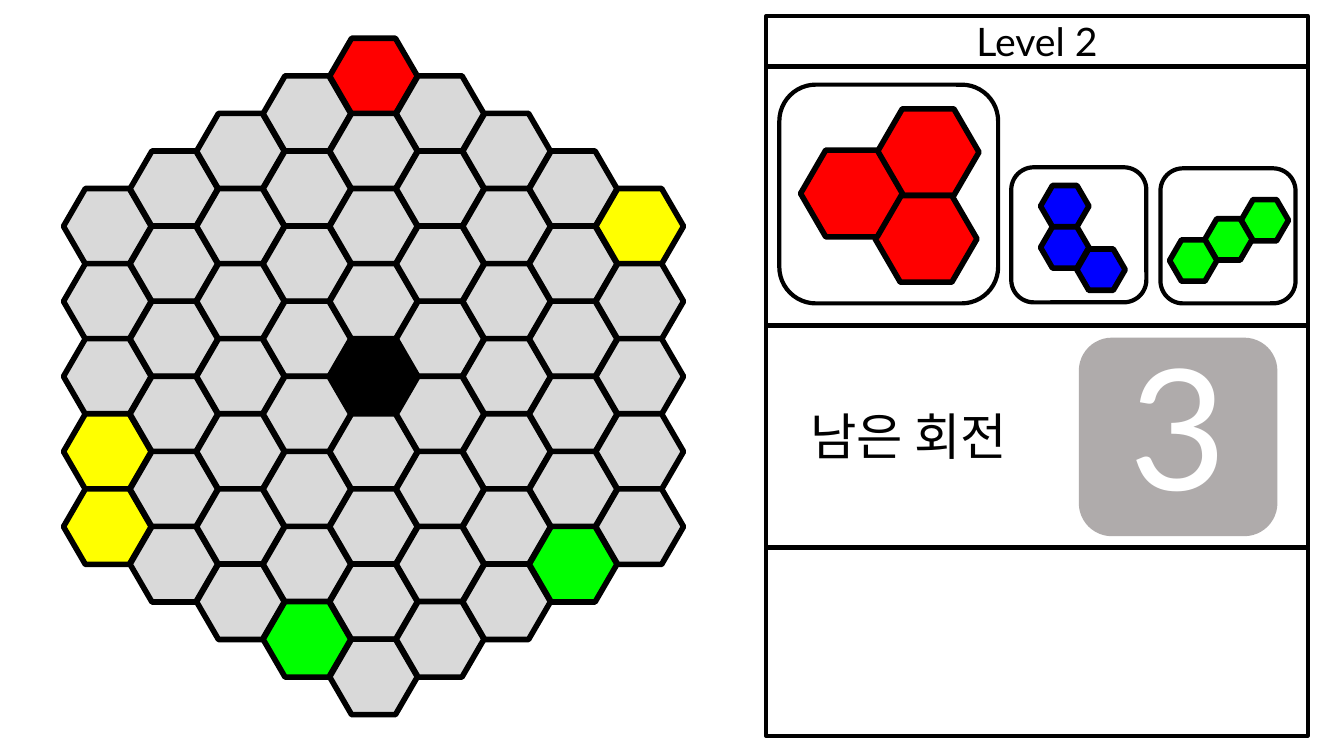
"""Build a hexagon puzzle slide with a board, its pieces and the turns left."""
from lxml import etree
from pptx import Presentation
from pptx.dml.color import RGBColor
from pptx.enum.shapes import MSO_SHAPE
from pptx.enum.text import MSO_ANCHOR, MSO_AUTO_SIZE, PP_ALIGN
from pptx.oxml.ns import qn
from pptx.util import Inches, Pt

HEX, RECT, ROUND = MSO_SHAPE.HEXAGON, MSO_SHAPE.RECTANGLE, MSO_SHAPE.ROUNDED_RECTANGLE
LEFT, CENTER = PP_ALIGN.LEFT, PP_ALIGN.CENTER
MIDDLE = MSO_ANCHOR.MIDDLE
FIXED, GROW = MSO_AUTO_SIZE.NONE, MSO_AUTO_SIZE.SHAPE_TO_FIT_TEXT
COLORS = {
    "black": "000000", "white": "FFFFFF", "cell": "D9D9D9", "badge": "AFABAB",
    "red": "FF0000", "yellow": "FFFF00", "green": "00FF00", "blue": "0000FF",
}
INK = {name: RGBColor.from_string(code) for name, code in COLORS.items()}


def draw(shapes, kind, box, fill=None, line=None):
    shape = shapes.add_shape(kind, *map(Inches, box))
    shape.shadow.inherit = False
    if kind == HEX:
        shape.adjustments[0] = 0.29
    if fill:
        shape.fill.solid()
        shape.fill.fore_color.rgb = INK[fill]
    else:
        shape.fill.background()
    if line:
        shape.line.color.rgb = INK["black"]
        shape.line.width = Pt(line)
    else:
        shape.line.fill.background()
    return shape


def write(shape, text, size, face, ink, align):
    frame = shape.text_frame
    frame.text = text
    frame.word_wrap = True
    para = frame.paragraphs[0]
    para.alignment = align
    run = para.runs[0]
    run.font.size = Pt(size)
    run.font.name = face
    run.font.color.rgb = INK[ink]
    etree.SubElement(run._r.get_or_add_rPr(), qn("a:ea")).set("typeface", face)
    return frame


deck = Presentation()
deck.slide_width, deck.slide_height = Inches(13.33), Inches(7.5)
slide = deck.slides.add_slide(deck.slide_layouts[5])
shapes = slide.shapes

title = shapes.title
title.left, title.top, title.width, title.height = map(Inches, (7.6, 0.16, 5.37, 0.5))
title.line.color.rgb = INK["black"]
title.line.width = Pt(3)
frame = write(title, "Level 2", 28, "Lato", "black", CENTER)
frame.vertical_anchor = MIDDLE
frame.auto_size = FIXED

marks = {
    (0, 0): "red", (0, 4): "black", (4, 0): "yellow", (-4, 3): "yellow",
    (-4, 4): "yellow", (3, 5): "green", (-1, 7): "green",
}
for col in range(-4, 5):
    count = 9 - abs(col)
    for row in range(count):
        left = 3.27 + 0.66 * col
        top = 3.36 + 0.745 * (row - (count - 1) / 2)
        draw(shapes, HEX, (left, top, 0.87, 0.75), marks.get((col, row), "cell"), 4)

for top, height in [(0.66, 2.57), (3.23, 2.2), (5.44, 1.86)]:
    draw(shapes, RECT, (7.6, top, 5.37, height), line=3)

pieces = [
    ("red", (7.73, 0.84, 2.17), (1.01, 0.86), [(8.7, 1.08), (8.68, 1.94), (7.94, 1.49)]),
    ("blue", (10.03, 1.66, 1.34), (0.48, 0.41), [(10.32, 1.84), (10.32, 2.25), (10.68, 2.47)]),
    ("green", (11.51, 1.67, 1.34), (0.47, 0.41), [(12.31, 1.98), (11.95, 2.17), (11.6, 2.38)]),
]
for color, (left, top, side), size, spots in pieces:
    draw(shapes, ROUND, (left, top, side, side), line=3)
    group = shapes.add_group_shape()
    for spot in spots:
        draw(group.shapes, HEX, spot + size, color, 4)

badge = draw(shapes, ROUND, (10.7, 3.35, 1.97, 1.97), "badge")
frame = write(badge, "3", 120, "Lato", "white", CENTER)
frame.vertical_anchor = MIDDLE
frame.margin_bottom = Inches(0.31)

label = shapes.add_textbox(*map(Inches, (7.94, 3.97, 2.42, 0.71)))
frame = write(label, "남은 회전", 36, "Noto Sans CJK KR", "black", LEFT)
frame.auto_size = GROW

deck.save("out.pptx")
